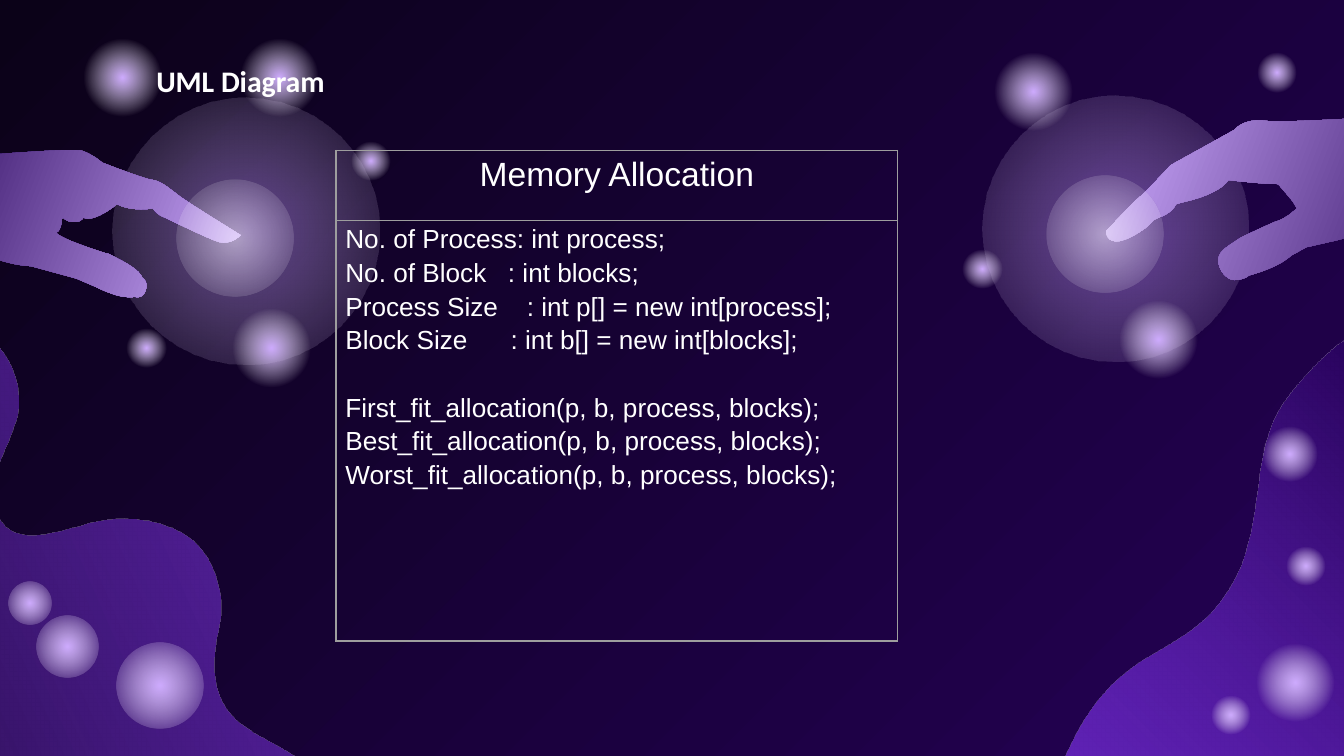
from pptx import Presentation
from pptx.dml.color import RGBColor
from pptx.enum.shapes import MSO_SHAPE as Shape
from pptx.enum.text import PP_ALIGN as Align
from pptx.oxml import parse_xml
from pptx.oxml.ns import nsdecls, qn
from pptx.util import Inches, Pt

COLORS = {"night": "0B0218", "indigo": "240155", "violet": "8134EC", "lilac": "CEABFF",
          "halo": "B47FFF", "white": "FFFFFF", "border": "9E9E9E"}

# Outlines: start point, then 6 numbers for a Bezier curve or 2 for a line
LEFT_WAVE = [
    (-1.44, 1.84), (-1.37, 1.93, -1.28, 2.03, -1.19, 2.09),
    (-1.04, 2.19, -0.87, 2.22, -0.7, 2.25), (-0.58, 2.27, -0.46, 2.29, -0.35, 2.33),
    (-0.07, 2.45, 0.12, 2.67, 0.14, 2.95), (0.16, 3.24, -0.11, 3.46, -0.04, 3.77),
    (0.04, 4.11, 0.44, 3.95, 0.67, 3.89), (0.93, 3.82, 1.3, 3.85, 1.49, 4.08),
    (1.58, 4.19, 1.63, 4.34, 1.64, 4.48), (1.65, 4.63, 1.59, 4.77, 1.59, 4.91),
    (1.58, 5.04, 1.62, 5.23, 1.73, 5.33), (1.84, 5.44, 1.99, 5.5, 2.12, 5.58),
    (2.67, 5.88, 3.1, 6.44, 3.12, 7.05), (3.12, 7.13, 3.12, 7.24, 3.08, 7.31),
    (-3.11, 4.87), (-1.62, 1.35), (-1.63, 1.49, -1.51, 1.72, -1.44, 1.84)]
RIGHT_WAVE = [
    (10.26, 6.24), (10.26, 5.87, 10.24, 5.5, 10.27, 5.12),
    (10.29, 4.73, 10.35, 4.35, 10.35, 3.95), (10.35, 3.67, 10.33, 3.39, 10.33, 3.12),
    (10.33, 2.97, 10.39, 2.57, 10.22, 2.48), (10.04, 2.39, 9.68, 2.82, 9.58, 2.95),
    (9.41, 3.17, 9.39, 3.4, 9.35, 3.67), (9.31, 3.96, 9.27, 4.22, 9.09, 4.46),
    (8.94, 4.67, 8.71, 4.78, 8.5, 4.91), (8.28, 5.05, 8.12, 5.24, 8, 5.47),
    (7.9, 5.67, 7.77, 5.95, 7.77, 6.18), (7.92, 6.2, 8.07, 6.18, 8.23, 6.19),
    (8.38, 6.19, 8.53, 6.24, 8.69, 6.24), (10.07, 6.24)]
RIGHT_HAND = [
    (10.82, 0.82), (10.82, 0.82, 10.64, 0.79, 10.44, 0.86),
    (10.44, 0.86, 9.5, 0.92, 9.42, 0.9), (9.42, 0.9, 9.27, 0.87, 9.18, 0.97),
    (8.71, 1.23), (8.71, 1.23, 8.49, 1.47, 8.45, 1.49), (8.23, 1.72),
    (8.23, 1.72, 8.23, 1.87, 8.44, 1.75), (8.44, 1.75, 8.55, 1.69, 8.58, 1.64),
    (8.63, 1.61, 8.71, 1.6, 8.75, 1.52), (8.75, 1.52, 8.78, 1.51, 8.82, 1.5),
    (8.92, 1.48, 9.09, 1.42, 9.14, 1.34), (9.14, 1.34, 9.39, 1.37, 9.51, 1.37),
    (9.51, 1.37, 9.58, 1.45, 9.62, 1.5), (9.65, 1.55),
    (9.65, 1.55, 9.57, 1.63, 9.49, 1.65), (9.49, 1.65, 9.33, 1.72, 9.23, 1.77),
    (9.17, 1.81), (9.11, 1.85, 9.02, 1.9, 9.09, 2.02),
    (9.09, 2.02, 9.11, 2.05, 9.14, 2.07), (9.17, 2.09, 9.22, 2.09, 9.28, 2.06),
    (9.29, 2.05), (9.29, 2.05, 9.5, 2, 9.61, 1.9), (9.72, 1.84), (9.94, 1.79),
    (9.94, 1.79, 10.35, 1.7, 10.49, 1.42), (10.49, 1.42, 10.99, 1.38, 11.09, 1.44),
    (11.09, 1.44, 11.25, 1.07, 11.04, 0.82)]
LEFT_HAND = [
    (0.6, 1.12), (0.51, 1.1, -0.31, 1.17, -0.31, 1.17),
    (-0.49, 1.16, -0.5, 1.14, -0.69, 1.11), (-0.91, 1.08, -0.83, 1.66, -0.83, 1.66),
    (-0.57, 1.6, -0.41, 1.71, -0.41, 1.71), (-0.09, 1.98, 0.23, 1.98, 0.23, 1.98),
    (0.56, 2.07), (0.59, 2.08, 0.63, 2.1, 0.68, 2.12),
    (0.77, 2.16, 0.88, 2.22, 0.99, 2.21), (1.01, 2.21),
    (1.07, 2.22, 1.09, 2.16, 1.09, 2.12), (1.09, 2.11, 1.08, 2.08, 1.06, 2.07),
    (1.03, 1.99, 0.88, 1.93, 0.81, 1.89), (0.77, 1.88),
    (0.4, 1.76, 0.42, 1.73, 0.42, 1.73), (0.46, 1.71, 0.46, 1.63, 0.46, 1.63),
    (0.47, 1.62), (0.51, 1.66, 0.55, 1.65, 0.58, 1.65),
    (0.61, 1.64, 0.62, 1.62, 0.62, 1.62), (0.7, 1.66, 0.87, 1.52, 0.87, 1.52),
    (0.99, 1.58, 1.14, 1.55, 1.14, 1.55), (1.15, 1.58, 1.2, 1.61, 1.23, 1.62),
    (1.25, 1.63), (1.25, 1.63, 1.54, 1.77, 1.6, 1.79),
    (1.71, 1.84, 1.79, 1.75, 1.79, 1.75), (1.63, 1.65),
    (1.63, 1.65, 1.34, 1.47, 1.31, 1.44), (1.27, 1.41, 1.2, 1.35, 1.14, 1.34),
    (1.09, 1.34, 0.76, 1.21, 0.76, 1.21), (0.69, 1.15, 0.61, 1.12, 0.6, 1.12)]


def flatten(outline, steps=10):
    """Turn an outline of curves and lines into plain points."""
    points = [outline[0]]
    for segment in outline[1:]:
        if len(segment) == 2:
            points.append(segment)
            continue
        x0, y0 = points[-1]
        x1, y1, x2, y2, x3, y3 = segment
        for i in range(1, steps + 1):
            t = i / steps
            a, b, c, d = (1 - t) ** 3, 3 * t * (1 - t) ** 2, 3 * t * t * (1 - t), t ** 3
            points.append((a * x0 + b * x1 + c * x2 + d * x3,
                           a * y0 + b * y1 + c * y2 + d * y3))
    return [(Inches(x), Inches(y)) for x, y in points]


def gradient(*stops, angle=None):
    """Stops are (position, colour, opacity); without an angle it is radial."""
    marks = "".join(
        f'<a:gs pos="{pos * 1000}"><a:srgbClr val="{COLORS[color]}">'
        f'<a:alpha val="{opacity * 1000}"/></a:srgbClr></a:gs>' for pos, color, opacity in stops)
    if angle is None:
        way = ('<a:path path="circle"><a:fillToRect l="50000" t="50000" '
               'r="50000" b="50000"/></a:path>')
    else:
        way = f'<a:lin ang="{round(angle * 60000)}" scaled="0"/>'
    return parse_xml(f'<a:gradFill {nsdecls("a")} rotWithShape="1">'
                     f'<a:gsLst>{marks}</a:gsLst>{way}</a:gradFill>')


def write(paragraph, text, size=14, font="Arial", bold=False, align=Align.LEFT,
          spacing=1.0, before=0, tab=None):
    paragraph.alignment, paragraph.line_spacing = align, spacing
    paragraph.space_before = Pt(before)
    if tab:
        paragraph._p.get_or_add_pPr().append(parse_xml(
            f'<a:tabLst {nsdecls("a")}><a:tab pos="{Inches(tab)}" algn="l"/></a:tabLst>'))
    run = paragraph.add_run()
    run.text = text
    run.font.size, run.font.name, run.font.bold = Pt(size), font, bold
    run.font.color.rgb = RGBColor.from_string(COLORS["white"])


class Canvas:
    def __init__(self, slide):
        self.slide, self.shapes = slide, slide.shapes

    def paint(self, shape, fill):
        shape.shadow.inherit = False
        shape.line.fill.background()
        shape.fill.gradient()
        old = shape._element.spPr.find(qn("a:gradFill"))
        old.getparent().replace(old, fill)

    def backdrop(self, fill):
        self.slide.background.fill.gradient()
        old = next(self.slide.element.iter(qn("a:gradFill")))
        old.getparent().replace(old, fill)

    def outline(self, outline, fill):
        points = flatten(outline)
        builder = self.shapes.build_freeform(*points[0])
        builder.add_line_segments(points[1:], close=True)
        self.paint(builder.convert_to_shape(), fill)

    def glow(self, x, y, size, color="lilac", opacity=100, fade=64):
        oval = self.shapes.add_shape(Shape.OVAL, Inches(x - size / 2), Inches(y - size / 2),
                                     Inches(size), Inches(size))
        stops = [(0, color, opacity), (fade, "white", 0)]
        if fade < 100:
            stops.append((100, "white", 0))
        self.paint(oval, gradient(*stops))

    def title(self, text, left, top, width, height):
        frame = self.shapes.add_textbox(Inches(left), Inches(top),
                                        Inches(width), Inches(height)).text_frame
        frame.word_wrap = True
        frame.margin_top = Inches(0.1)
        write(frame.paragraphs[0], text, size=16, font="Calibri", bold=True, align=Align.CENTER)

    def class_box(self, left, top, width, heights):
        table = self.shapes.add_table(len(heights), 1, Inches(left), Inches(top),
                                      Inches(width), Inches(sum(heights))).table
        table.first_row = table.horz_banding = False
        for row, height in zip(table.rows, heights):
            row.height = Inches(height)
            cell = row.cells[0]
            cell.margin_left = cell.margin_right = Inches(0.07)
            cell.margin_top = cell.margin_bottom = 0
            cell.fill.background()
            for i, side in enumerate("LRTB"):
                cell._tc.tcPr.insert(i, parse_xml(
                    f'<a:ln{side} {nsdecls("a")} w="{Pt(0.75)}"><a:solidFill><a:srgbClr '
                    f'val="{COLORS["border"]}"/></a:solidFill></a:ln{side}>'))
        return [row.cells[0].text_frame for row in table.rows]


def main():
    deck = Presentation()
    deck.slide_width = Inches(10)
    deck.slide_height = deck.slide_width * 9 // 16
    canvas = Canvas(deck.slides.add_slide(deck.slide_layouts[6]))

    # Background and waves
    canvas.backdrop(gradient((0, "night", 100), (100, "indigo", 100), angle=45))
    canvas.outline(LEFT_WAVE, gradient((0, "night", 100), (100, "violet", 70), angle=336.5))
    canvas.outline(RIGHT_WAVE, gradient((0, "violet", 70), (100, "indigo", 100), angle=315))

    # Orbs on the waves
    for x, y, size in [(9.64, 5.08, 0.64), (9.72, 4.21, 0.32), (9.16, 5.32, 0.32),
                       (9.6, 3.38, 0.45)]:
        canvas.glow(x, y, size)
    for x, y, size in [(0.5, 4.81, 0.46), (1.19, 5.1, 0.64), (0.22, 4.49, 0.32)]:
        canvas.glow(x, y, size, fade=88)

    # Hands, each between a wide halo and a fingertip light, with orbs around
    hands = [
        (RIGHT_HAND, 200.9, (8.3, 1.7), (8.22, 1.74),
         [(8.62, 2.53, 0.64), (7.69, 0.68, 0.64), (9.5, 0.54, 0.32), (7.31, 2, 0.32)]),
        (LEFT_HAND, 20.9, (1.83, 1.72), (1.75, 1.77),
         [(2.08, 0.58, 0.64), (0.91, 0.58, 0.64), (1.09, 2.59, 0.32), (2.02, 2.59, 0.64),
          (2.76, 1.2, 0.32)])]
    for hand, angle, halo, fingertip, orbs in hands:
        canvas.glow(*halo, 1.98, color="halo", opacity=50, fade=100)
        canvas.outline(hand, gradient((0, "indigo", 100), (100, "lilac", 100), angle=angle))
        canvas.glow(*fingertip, 0.87, color="white", opacity=50, fade=98)
        for orb in orbs:
            canvas.glow(*orb)

    # Title and class diagram
    canvas.title("UML Diagram", 0.4, 0.37, 2.78, 0.76)
    name, members = canvas.class_box(2.5, 1.12, 4.18, [0.52, 3.13])
    write(name.paragraphs[0], "Memory Allocation", size=18, align=Align.CENTER, spacing=1.15)
    lines = [("No. of Process: int process;", {}),
             ("No. of Block\t: int blocks;", {"tab": 1.21}),
             ("Process Size\t: int p[] = new int[process];", {"tab": 1.35}),
             ("Block Size\t: int b[] = new int[blocks];", {"tab": 1.23}),
             ("First_fit_allocation(p, b, process, blocks);", {"before": 18}),
             ("Best_fit_allocation(p, b, process, blocks);", {}),
             ("Worst_fit_allocation(p, b, process, blocks);", {})]
    for i, (text, style) in enumerate(lines):
        paragraph = members.add_paragraph() if i else members.paragraphs[0]
        write(paragraph, text, spacing=1.15, **style)

    deck.save("out.pptx")


if __name__ == "__main__":
    main()
